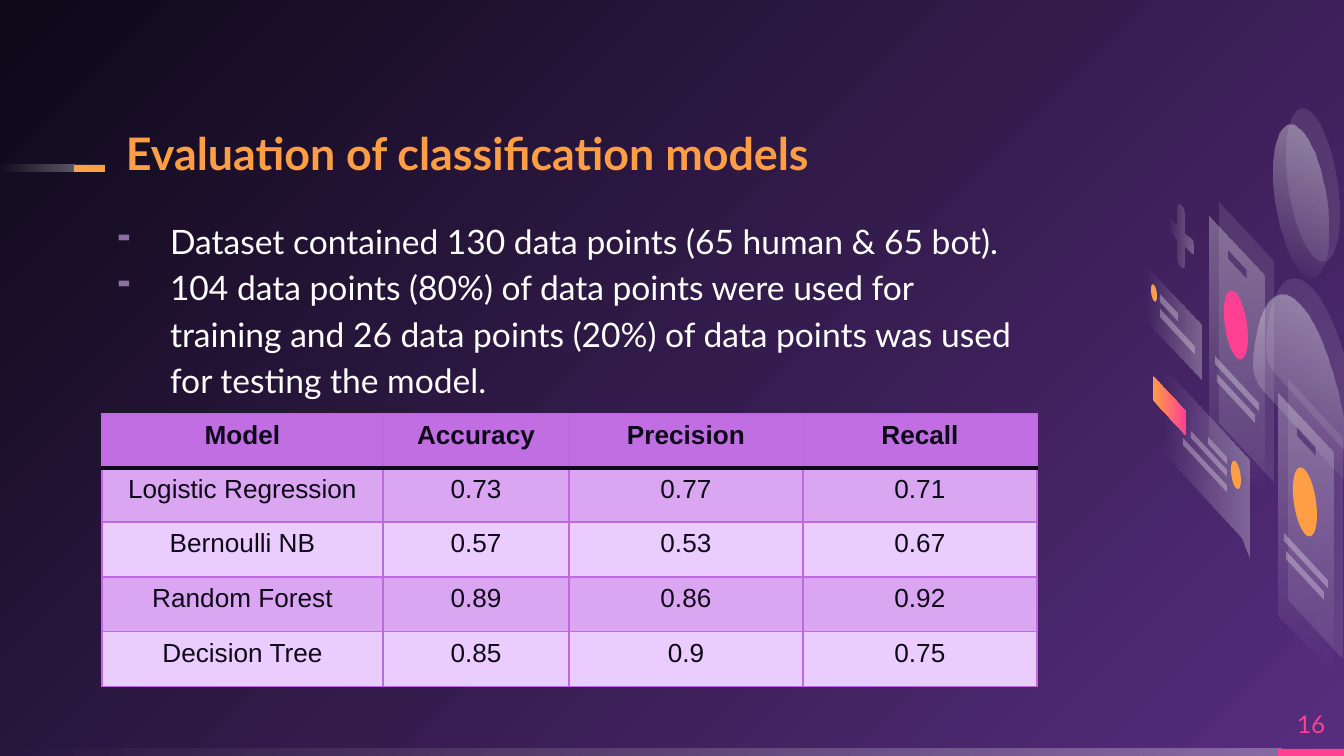
from dataclasses import dataclass
from math import cos, pi, sin

from pptx import Presentation
from pptx.dml.color import RGBColor
from pptx.enum.shapes import MSO_SHAPE as Preset
from pptx.enum.text import MSO_ANCHOR as Anchor, PP_ALIGN as Align
from pptx.oxml import parse_xml
from pptx.oxml.ns import nsdecls
from pptx.util import Pt

EMU_PER_PX = 9144000 / 1344
SLANT = 1.075  # drop per pixel to the right in the slanted artwork

NIGHT = RGBColor(0x0E, 0x09, 0x18)
VIOLET = RGBColor(0x57, 0x2D, 0x7E)
WHITE = RGBColor(0xFF, 0xFF, 0xFF)
ORANGE = RGBColor(0xFF, 0x9E, 0x44)
PINK = RGBColor(0xFF, 0x40, 0x93)
BULLET = RGBColor(0x88, 0x70, 0xA0)
HEADER = RGBColor(0xC0, 0x6E, 0xE2)
BAND = RGBColor(0xDA, 0xA6, 0xF2)
PALE = RGBColor(0xEB, 0xCC, 0xFF)
GRID = RGBColor(0xBD, 0x69, 0xE0)

Point = tuple[float, float]


@dataclass(frozen=True)
class Paint:
    """One (colour, opacity %) stop is a flat fill, two make a gradient."""
    stops: tuple[tuple[RGBColor, int], ...]
    angle: int = 0


@dataclass(frozen=True)
class Box:
    left: int
    top: int
    width: int
    height: int


@dataclass(frozen=True)
class Oval:
    x: int
    y: int
    rx: int
    ry: int


def fading(opacity: int, angle: int) -> Paint:
    return Paint(((WHITE, opacity), (WHITE, 0)), angle)


SOLID_ORANGE, SOLID_PINK = Paint(((ORANGE, 100),)), Paint(((PINK, 100),))
FAINT, STRIPE = Paint(((WHITE, 10),)), Paint(((WHITE, 30),))
FADE_LEFT, FADE_DOWN, FADE_FIGURE = fading(30, 180), fading(30, 90), fading(40, 110)
BANNER = Paint(((ORANGE, 100), (PINK, 100)))

# Outlines: pairs are straight steps, six numbers are a Bézier curve
SHOULDERS = [(1301, 305), (1277, 278, 1257, 304, 1254, 360),
             (1253, 371, 1257, 383, 1262, 388), (1341, 476),
             (1345, 481, 1349, 477, 1349, 465), (1345, 401, 1325, 332, 1301, 305)]
PLUS = [(1181, 206), (1183, 207, 1184, 212, 1184, 216), (1184, 233), (1191, 239),
        (1192, 241, 1193, 246, 1193, 249), (1193, 253, 1192, 254, 1191, 253),
        (1184, 246), (1184, 263), (1184, 266, 1183, 269, 1181, 266),
        (1179, 265, 1177, 259, 1177, 257), (1177, 239), (1172, 233),
        (1171, 231, 1169, 227, 1169, 223), (1169, 219, 1171, 218, 1172, 219),
        (1177, 226), (1177, 208), (1177, 206, 1179, 203, 1181, 206)]
CHART_CARD = [(1250, 461), (1163, 366), (1163, 452), (1242, 538), (1250, 559)]

POINTS = ["Dataset contained 130 data points (65 human & 65 bot).",
          "104 data points (80%) of data points were used for training and 26 data "
          "points (20%) of data points was used for testing the model."]
SCORES = [("Model", "Accuracy", "Precision", "Recall"),
          ("Logistic Regression", "0.73", "0.77", "0.71"),
          ("Bernoulli NB", "0.57", "0.53", "0.67"),
          ("Random Forest", "0.89", "0.86", "0.92"),
          ("Decision Tree", "0.85", "0.9", "0.75")]
COLUMN_WIDTHS, ROW_HEIGHTS = (281, 186, 234, 234), (54, 54, 55, 55, 55)


def px(length: float) -> int:
    return round(length * EMU_PER_PX)


def place(box: Box) -> tuple[int, ...]:
    return tuple(px(n) for n in (box.left, box.top, box.width, box.height))


def apply(target, values: dict) -> None:
    for key, value in values.items():
        setattr(target, key, value)


def colour_xml(colour: RGBColor, opacity: int = 100) -> str:
    return f'<a:srgbClr val="{colour}"><a:alpha val="{opacity * 1000}"/></a:srgbClr>'


def gradient_xml(stops, direction: str) -> str:
    marks = "".join(f'<a:gs pos="{i * 100000}">{colour_xml(*stop)}</a:gs>'
                    for i, stop in enumerate(stops))
    return (f'<a:gradFill {nsdecls("a")} rotWithShape="1"><a:gsLst>{marks}</a:gsLst>'
            f'{direction}</a:gradFill>')


def fill_shape(shape, paint: Paint) -> None:
    shape.shadow.inherit = False
    shape.line.fill.background()
    if len(paint.stops) == 1:
        xml = f'<a:solidFill {nsdecls("a")}>{colour_xml(*paint.stops[0])}</a:solidFill>'
    else:
        xml = gradient_xml(paint.stops, f'<a:lin ang="{paint.angle * 60000}" scaled="0"/>')
    shape._element.spPr.insert(2, parse_xml(xml))  # right after the geometry


def draw_outline(slide, paint: Paint, *contours: list[Point]) -> None:
    emu = [[(px(x), px(y)) for x, y in contour] for contour in contours]
    builder = slide.shapes.build_freeform(*emu[0][0])
    for i, (start, *rest) in enumerate(emu):
        if i:
            builder.move_to(*start)
        builder.add_line_segments(rest, close=True)
    fill_shape(builder.convert_to_shape(), paint)


def trace(steps: list[tuple], dx: int = 0, dy: int = 0) -> list[Point]:
    points = [steps[0]]
    for step in steps[1:]:
        if len(step) == 2:
            points.append(step)
            continue
        start = points[-1]
        for t in (i / 10 for i in range(1, 11)):
            u = 1 - t
            points.append(tuple(u**3 * start[k] + 3 * u * u * t * step[k]
                                + 3 * u * t * t * step[k + 2] + t**3 * step[k + 4]
                                for k in (0, 1)))
    return [(x + dx, y + dy) for x, y in points]


def slanted(left: int, top: int, width: int, side: int) -> list[Point]:
    right, drop = left + width, width * SLANT
    return [(left, top), (right, top + drop), (right, top + drop + side), (left, top + side)]


def draw_oval(slide, oval: Oval, paint: Paint) -> None:
    turns = [2 * pi * i / 48 for i in range(48)]
    draw_outline(slide, paint, [(oval.x + oval.rx * cos(t),
                                 oval.y + oval.ry * sin(t) + SLANT * oval.rx * cos(t))
                                for t in turns])


def draw_document(slide, left: int, top: int, oval_paint: Paint) -> None:
    draw_outline(slide, FAINT, slanted(left + 10, top - 15, 55, 221))
    draw_outline(slide, FADE_DOWN, slanted(left, top, 55, 221),
                 slanted(left + 18, top + 33, 19, 9)[::-1])
    for dx, dy, width in ((6, 139, 44), (8, 157, 38)):
        draw_outline(slide, STRIPE, slanted(left + dx, top + dy, width, 8))
    draw_oval(slide, Oval(left + 27, top + 108, 12, 32), oval_paint)


def add_text(slide, box: Box, lines: list[str], font: dict, paragraph: dict, anchor=Anchor.TOP):
    frame = slide.shapes.add_textbox(*place(box)).text_frame
    apply(frame, dict(word_wrap=True, vertical_anchor=anchor, margin_left=0,
                      margin_right=0, margin_top=0, margin_bottom=0))
    frame.text = "\n".join(lines)
    for line in frame.paragraphs:
        apply(line, paragraph)
        style_runs(line, font)
    return frame


def style_runs(paragraph, font: dict) -> None:
    for run in paragraph.runs:
        apply(run.font, {k: v for k, v in font.items() if k != "colour"})
        run.font.color.rgb = font["colour"]


def add_scores(slide) -> None:
    box = Box(102, 414, sum(COLUMN_WIDTHS), sum(ROW_HEIGHTS))
    table = slide.shapes.add_table(len(SCORES), len(SCORES[0]), *place(box)).table
    for column, width in zip(table.columns, COLUMN_WIDTHS):
        column.width = px(width)
    for r, (row, height) in enumerate(zip(table.rows, ROW_HEIGHTS)):
        row.height = px(height)
        for cell, value in zip(row.cells, SCORES[r]):
            cell.text = value
            line = cell.text_frame.paragraphs[0]
            line.alignment = Align.CENTER
            style_runs(line, dict(name="Arial", size=Pt(14), bold=r == 0, colour=NIGHT))
            for side in "LRTB":
                heavy = (r, side) in ((0, "B"), (1, "T"))
                cell._tc.get_or_add_tcPr().append(parse_xml(
                    f'<a:ln{side} {nsdecls("a")} w="{25400 if heavy else 9525}"><a:solidFill>'
                    f'{colour_xml(NIGHT if heavy else GRID)}</a:solidFill></a:ln{side}>'))
            cell.fill.solid()
            cell.fill.fore_color.rgb = HEADER if r == 0 else BAND if r % 2 else PALE


def main() -> None:
    deck = Presentation()
    deck.slide_width, deck.slide_height = px(1344), px(756)
    slide = deck.slides.add_slide(deck.slide_layouts[6])

    # Background glow from the lower right corner
    slide.background.fill.solid()
    backdrop = slide._element.xpath("./p:cSld/p:bg/p:bgPr")[0]
    backdrop.replace(backdrop[0], parse_xml(gradient_xml(
        ((VIOLET, 100), (NIGHT, 100)),
        '<a:path path="circle"><a:fillToRect l="100000" t="100000"/></a:path>')))

    # Footer strip and title dash
    for box, paint in ((Box(0, 749, 1282, 7), FADE_LEFT), (Box(1278, 749, 66, 7), SOLID_PINK),
                       (Box(0, 165, 75, 7), FADE_LEFT), (Box(74, 165, 31, 7), SOLID_ORANGE)):
        fill_shape(slide.shapes.add_shape(Preset.RECTANGLE, *place(box)), paint)

    # Title, bullets and slide number
    add_text(slide, Box(126, 122, 780, 58), ["Evaluation of classification models"],
             dict(name="Lato", size=Pt(24), bold=True, colour=ORANGE),
             dict(line_spacing=0.9), Anchor.BOTTOM)
    body = add_text(slide, Box(119, 215, 893, 140), POINTS,
                    dict(name="Lato", size=Pt(18), colour=WHITE), dict(line_spacing=1.15))
    for line in body.paragraphs:
        props = line._p.get_or_add_pPr()
        props.set("marL", str(px(51)))
        props.set("indent", str(px(-51)))
        props.append(parse_xml(f'<a:buClr {nsdecls("a")}>{colour_xml(BULLET)}</a:buClr>'))
        props.append(parse_xml(f'<a:buChar {nsdecls("a")} char="╸"/>'))
    add_text(slide, Box(1278, 698, 66, 51), ["16"], dict(name="Lato", size=Pt(13), colour=PINK),
             dict(alignment=Align.CENTER), Anchor.MIDDLE)

    # Figure and its echo
    for dx, dy, paint in ((12, -16, FAINT), (0, 0, FADE_FIGURE)):
        draw_outline(slide, paint, trace(SHOULDERS, dx, dy))
        draw_oval(slide, Oval(1301 + dx, 201 + dy, 27, 71), paint)

    # Small card
    draw_outline(slide, FADE_LEFT, slanted(1146, 266, 55, 54))
    draw_oval(slide, Oval(1154, 293, 3, 8), SOLID_ORANGE)
    for top, width in ((294, 18), (309, 35)):
        draw_outline(slide, STRIPE, slanted(1160, top, width, 8))

    # Documents
    draw_document(slide, 1278, 394, SOLID_ORANGE)
    draw_document(slide, 1209, 217, SOLID_PINK)

    # Chart card, banner and plus sign
    draw_outline(slide, FADE_LEFT, CHART_CARD)
    draw_outline(slide, BANNER, slanted(1153, 376, 33, 24))
    for left, top in ((1208, 437), (1191, 431), (1183, 438)):
        draw_outline(slide, STRIPE, slanted(left, top, 1227 - left, 7))
    draw_oval(slide, Oval(1236, 475, 5, 13), SOLID_ORANGE)
    draw_outline(slide, FADE_LEFT, trace(PLUS))

    add_scores(slide)
    deck.save("out.pptx")


if __name__ == "__main__":
    main()
